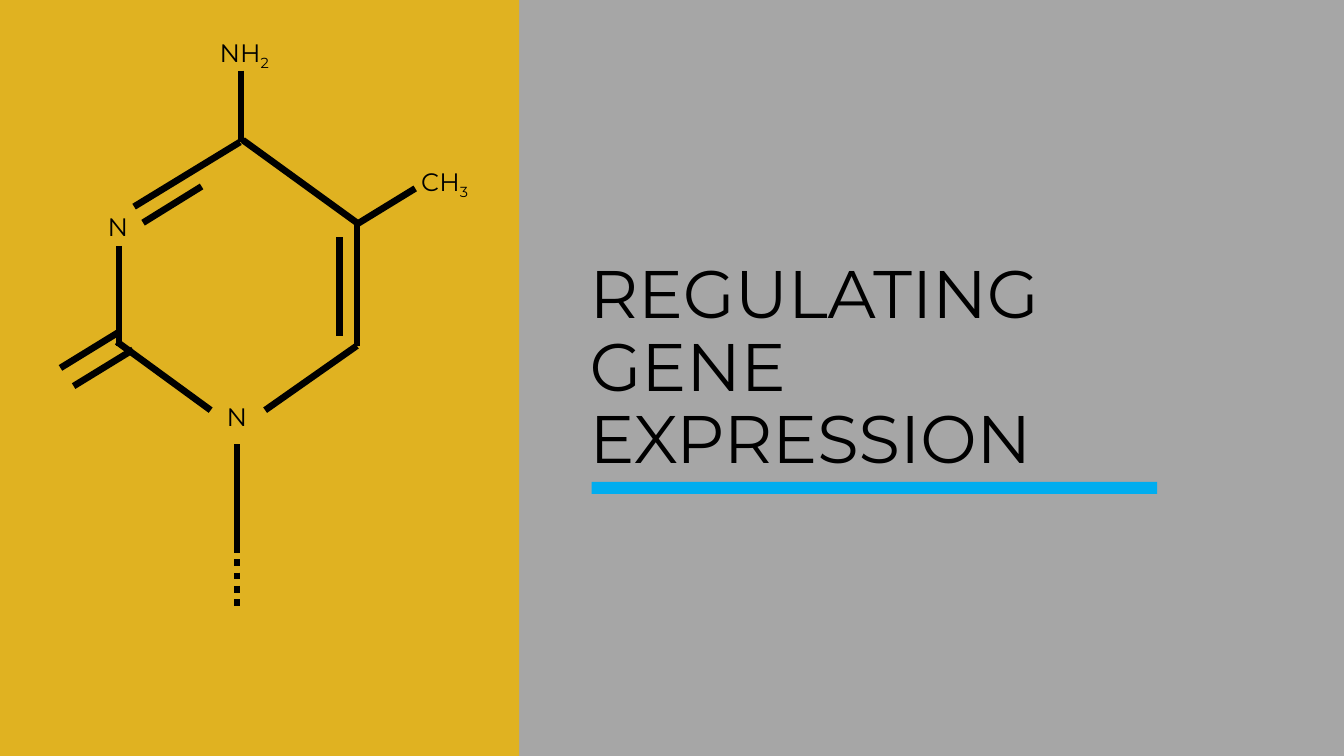
import lxml.etree
import pptx
import pptx.dml.color
import pptx.enum.dml
import pptx.enum.shapes
import pptx.enum.text
import pptx.oxml.ns
import pptx.util

Pt = pptx.util.Pt
qn = pptx.oxml.ns.qn


def color(code):
    return pptx.dml.color.RGBColor.from_string(code)


def write(frame, text, sub="", size=18, font="Montserrat", ink="000000", space=None):
    """Write one paragraph, ending in an optional subscript."""
    para = frame.paragraphs[0]
    para.line_spacing = space
    for part, base in ((text, None), (sub, "-25000")):
        if not part:
            continue
        run = para.add_run()
        run.text = part
        run.font.size = Pt(size)
        run.font.name = font
        run.font.color.rgb = color(ink)
        if base:
            run.font._element.set("baseline", base)


class Board:
    ink = "000000"
    stroke = 4.75

    def __init__(self, slide):
        self.slide = slide
        self.shapes = slide.shapes

    def rect(self, x, y, w, h, fill, alpha=None):
        kind = pptx.enum.shapes.MSO_SHAPE.RECTANGLE
        box = self.shapes.add_shape(kind, Pt(x), Pt(y), Pt(w), Pt(h))
        box.shadow.inherit = False
        box.line.fill.background()
        box.fill.solid()
        box.fill.fore_color.rgb = color(fill)
        if alpha:
            code = box._element.spPr.find(".//" + qn("a:srgbClr"))
            lxml.etree.SubElement(code, qn("a:alpha")).set("val", str(alpha * 1000))

    def line(self, start, end, dash=None):
        kind = pptx.enum.shapes.MSO_CONNECTOR.STRAIGHT
        bond = self.shapes.add_connector(kind, *map(Pt, start + end))
        bond.line.color.rgb = color(self.ink)
        bond.line.width = Pt(self.stroke)
        if dash:
            bond.line.dash_style = dash
        lxml.etree.SubElement(bond._element.spPr, qn("a:effectLst"))

    def text(self, x, y, w, h, words, middle=False, **style):
        frame = self.shapes.add_textbox(Pt(x), Pt(y), Pt(w), Pt(h)).text_frame
        frame.word_wrap = True
        if middle:
            frame.vertical_anchor = pptx.enum.text.MSO_ANCHOR.MIDDLE
        write(frame, words, **style)


def draw(board):
    """Draw the methylcytosine molecule as one group."""
    board.shapes = board.slide.shapes.add_group_shape().shapes
    bonds = [
        ((169.2, 317.5), (169.2, 390.2)),
        ((254.9, 247), (189.4, 293)),
        ((83.5, 244.1), (150.5, 293)),
        ((85, 175.7), (85, 247)),
        ((254.9, 159.1), (254.9, 247)),
        ((254.9, 159.1), (173.5, 100.1)),
        ((95.8, 147.6), (171.4, 101.5)),
        ((172.1, 50.4), (172.1, 101.5)),
        ((102.2, 159.1), (144, 133.2)),
        ((242.6, 239.8), (242.6, 169.2)),
    ]
    for start, end in bonds:
        board.line(start, end)
    for x, y in ((52.6, 275.8), (43.2, 262.8), (254.2, 160.6)):
        board.line((x, y), (x + 42.4, y - 26))
    board.line((169.2, 361.4), (169.2, 434.2),
               dash=pptx.enum.dml.MSO_LINE.ROUND_DOT)
    atoms = [
        (69.8, 147.6, 42.5, "N", ""),
        (154.8, 283, 42.5, "N", ""),
        (293.8, 115.2, 80, "CH", "3"),
        (149.8, 23, 59, "NH", "2"),
    ]
    for x, y, w, name, sub in atoms:
        board.text(x, y, w, 29, name, sub=sub)
    board.shapes = board.slide.shapes


def main():
    deck = pptx.Presentation()
    deck.slide_width, deck.slide_height = Pt(960), Pt(540)
    slide = deck.slides.add_slide(deck.slide_layouts[6])
    slide.background.fill.solid()
    slide.background.fill.fore_color.rgb = color("A6A6A6")
    board = Board(slide)
    board.rect(0, 0, 370.8, 540, "EEB503", alpha=81)
    board.text(414, 215.3, 474.5, 97.2, "REGULATING GENE EXPRESSION",
               middle=True, size=48, space=0.9)
    draw(board)
    board.rect(422.6, 344.2, 404, 8.6, "00ADEF")
    deck.save("out.pptx")


if __name__ == "__main__":
    main()
